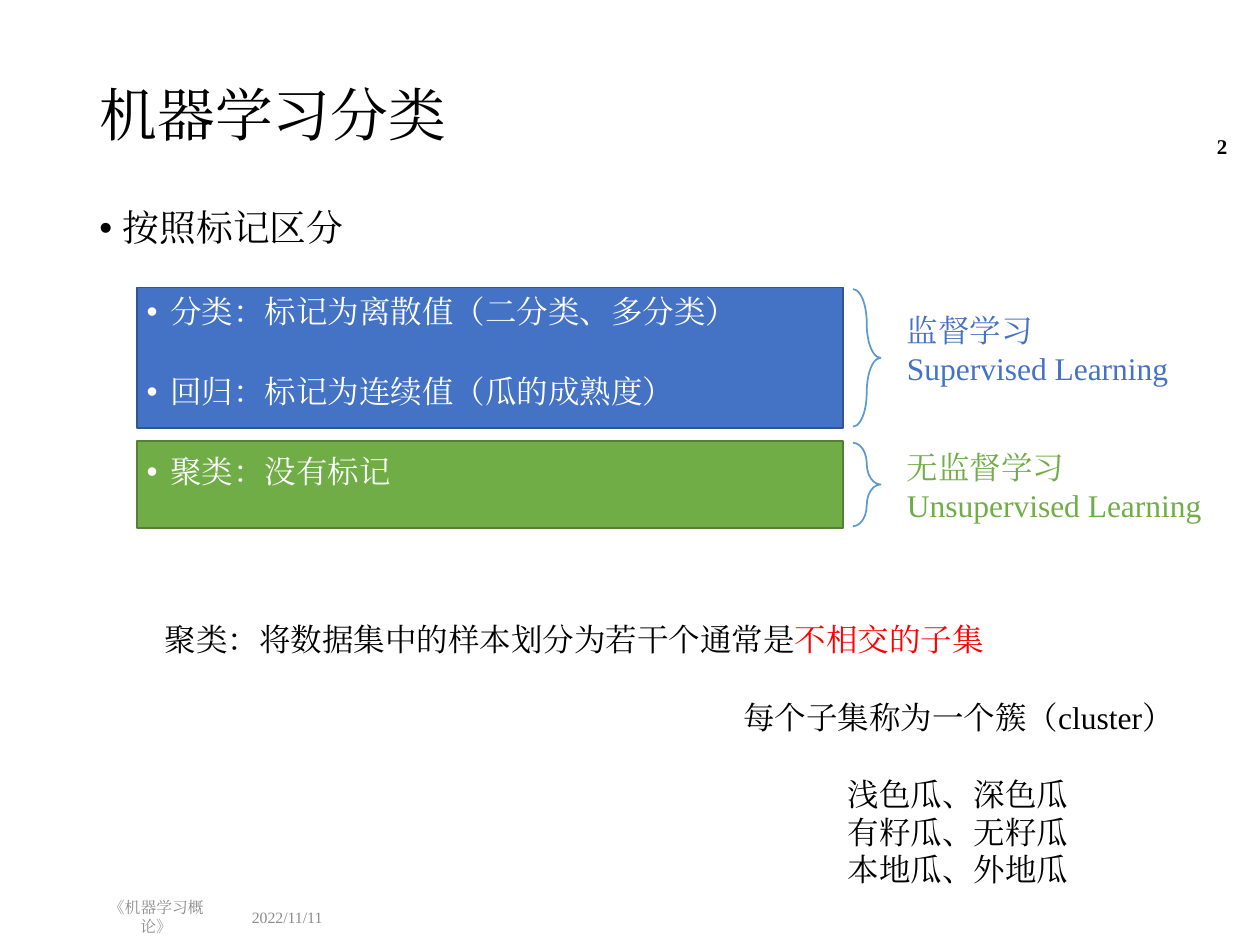
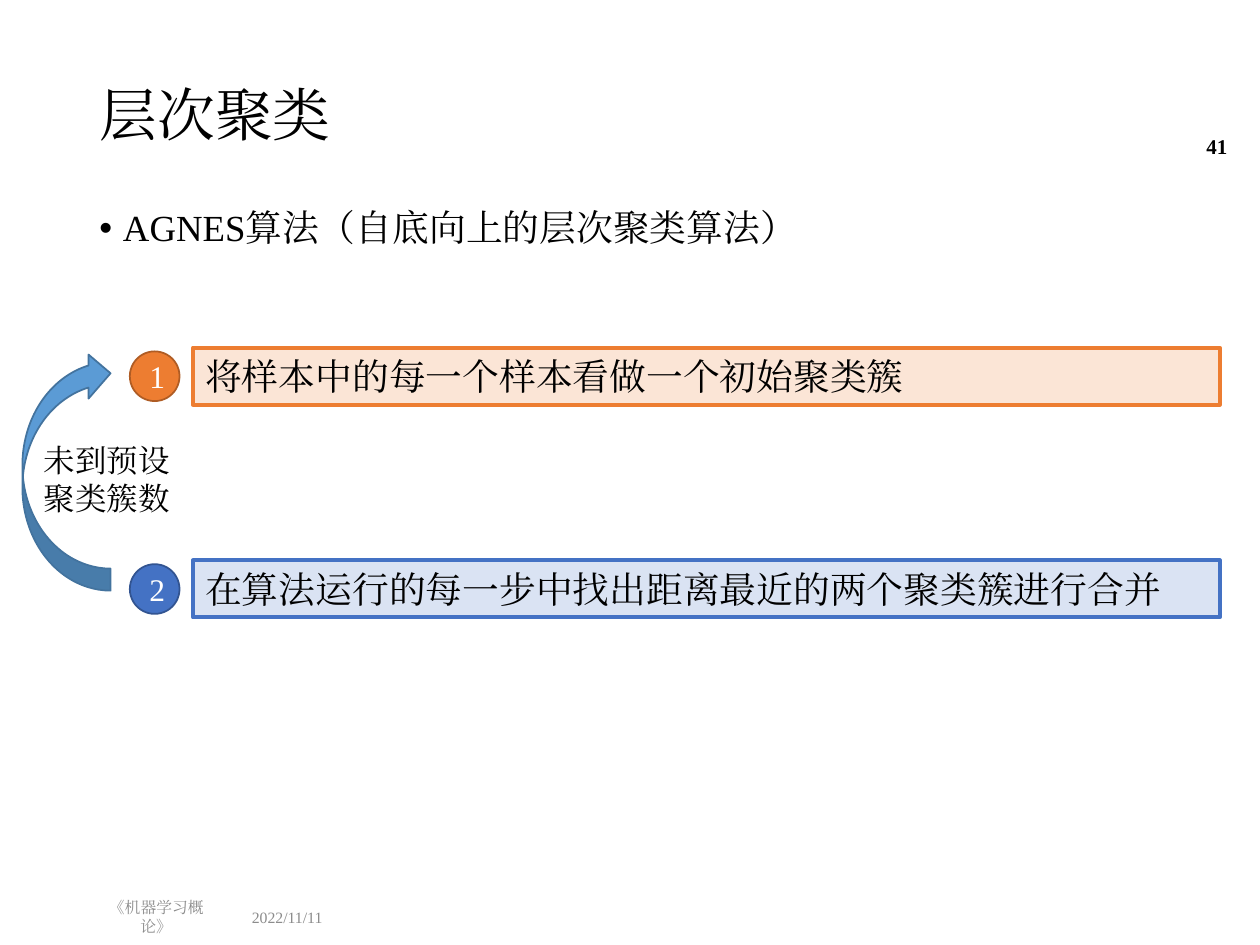
from dataclasses import dataclass
from lxml.etree import SubElement
from pptx import Presentation
from pptx.dml.color import RGBColor
from pptx.enum.shapes import MSO_SHAPE
from pptx.enum.text import MSO_ANCHOR, MSO_AUTO_SIZE, PP_ALIGN
from pptx.oxml.ns import qn
from pptx.util import Pt


@dataclass(frozen=True)
class Theme:
    font: str = "Times New Roman"
    black: str = "000000"
    white: str = "FFFFFF"
    grey: str = "8C8C8C"
    red: str = "FF0000"
    blue: str = "4472C4"
    blue_edge: str = "325491"
    blue_tint: str = "DAE3F3"
    green: str = "70AD47"
    green_edge: str = "538035"
    orange: str = "ED7D31"
    orange_edge: str = "AF5C24"
    orange_tint: str = "FBE5D6"
    sky: str = "5B9BD5"
    sky_edge: str = "43739E"
    title_size: float = 33
    heading_size: float = 21
    text_size: float = 18
    number_size: float = 12
    footer_size: float = 9


THEME = Theme()

TITLE_BOX = (49.7, 28.8, 620.6, 77)
BODY_BOX = (49.7, 116.6, 620.6, 388)
NUMBER_BOX = (658.8, 69.1, 49.7, 28.8)
FOOTERS = [
    ("《机器学习概论》", (49.7, 513.4, 79.2, 20.9), PP_ALIGN.CENTER),
    ("2022/11/11", (136.8, 513.4, 65.5, 20.9), PP_ALIGN.LEFT),
]

LEARNING_KINDS = [
    {
        "items": ["分类：标记为离散值（二分类、多分类）", "回归：标记为连续值（瓜的成熟度）"],
        "names": ["监督学习", "Supervised Learning"],
        "top": 164.2, "height": 80.6, "label_top": 174.2,
        "color": THEME.blue, "edge": THEME.blue_edge,
    },
    {
        "items": ["聚类：没有标记"],
        "names": ["无监督学习", "Unsupervised Learning"],
        "top": 252, "height": 49.7, "label_top": 252.7,
        "color": THEME.green, "edge": THEME.green_edge,
    },
]
CLUSTERING_NOTES = [
    ([[("聚类：将数据集中的样本划分为若干个通常是", THEME.black), ("不相交的子集", THEME.red)]],
     (87.1, 350.6, 508.3, 28.8)),
    ([[("每个子集称为一个簇（cluster）", THEME.black)]], (417.6, 395.3, 262.8, 28.8)),
    ([[(pair, THEME.black)] for pair in ("浅色瓜、深色瓜", "有籽瓜、无籽瓜", "本地瓜、外地瓜")],
     (477.4, 439.2, 181.4, 72.7)),
]

AGNES_STEPS = [
    ("将样本中的每一个样本看做一个初始聚类簇", THEME.orange, THEME.orange_edge, THEME.orange_tint),
    ("在算法运行的每一步中找出距离最近的两个聚类簇进行合并", THEME.blue, THEME.blue_edge, THEME.blue_tint),
]


def rgb(color):
    return RGBColor.from_string(color)


def box_of(values):
    return [Pt(value) for value in values]


def add_run(paragraph, text, size, color, bold=False):
    run = paragraph.add_run()
    run.text = text
    run.font.name = THEME.font
    run.font.size = Pt(size)
    run.font.bold = bold
    run.font.color.rgb = rgb(color)
    properties = run.font._element
    SubElement(properties, qn("a:ea")).set("typeface", THEME.font)


def fill_text(frame, lines, size, align=PP_ALIGN.LEFT, anchor=MSO_ANCHOR.TOP, bold=False):
    frame.word_wrap = True
    frame.auto_size = MSO_AUTO_SIZE.NONE
    frame.vertical_anchor = anchor
    for index, runs in enumerate(lines):
        paragraph = frame.add_paragraph() if index else frame.paragraphs[0]
        paragraph.alignment = align
        for text, color in runs:
            add_run(paragraph, text, size, color, bold)


def add_text(slide, box, lines, size=THEME.text_size, **options):
    shape = slide.shapes.add_textbox(*box_of(box))
    fill_text(shape.text_frame, lines, size, **options)


def add_box(slide, kind, box, fill, line, width=1):
    shape = slide.shapes.add_shape(kind, *box_of(box))
    shape.shadow.inherit = False
    if fill:
        shape.fill.solid()
        shape.fill.fore_color.rgb = rgb(fill)
    else:
        shape.fill.background()
    shape.line.color.rgb = rgb(line)
    shape.line.width = Pt(width)
    return shape


def add_bullets(slide, bullets):
    frame = slide.shapes.add_textbox(*box_of(BODY_BOX)).text_frame
    frame.word_wrap = True
    for index, (text, size, color, indent, space_before) in enumerate(bullets):
        paragraph = frame.add_paragraph() if index else frame.paragraphs[0]
        properties = paragraph._p.get_or_add_pPr()
        properties.set("marL", str(Pt(indent)))
        properties.set("indent", str(Pt(-13.5)))
        SubElement(properties, qn("a:buFont")).set("typeface", "Arial")
        SubElement(properties, qn("a:buChar")).set("char", "•")
        paragraph.line_spacing = 0.9
        paragraph.space_before = Pt(space_before)
        add_run(paragraph, text, size, color)


def add_heading_bullet(text):
    return (text, THEME.heading_size, THEME.black, 13.5, 0)


def start_slide(presentation, title, number):
    slide = presentation.slides.add_slide(presentation.slide_layouts[5])
    shape = slide.shapes.title
    shape.left, shape.top, shape.width, shape.height = box_of(TITLE_BOX)
    fill_text(shape.text_frame, [[(title, THEME.black)]], THEME.title_size, anchor=MSO_ANCHOR.MIDDLE)
    shape.text_frame.paragraphs[0].line_spacing = 0.9
    for text, box, align in FOOTERS:
        add_text(slide, box, [[(text, THEME.grey)]], THEME.footer_size,
                 align=align, anchor=MSO_ANCHOR.MIDDLE)
    add_text(slide, NUMBER_BOX, [[(number, THEME.black)]], THEME.number_size,
             align=PP_ALIGN.RIGHT, anchor=MSO_ANCHOR.MIDDLE, bold=True)
    return slide


def build_learning_kinds(presentation):
    slide = start_slide(presentation, "机器学习分类", "2")
    bullets = [add_heading_bullet("按照标记区分")]
    for kind in LEARNING_KINDS:
        top, height, color = kind["top"], kind["height"], kind["color"]
        add_box(slide, MSO_SHAPE.RECTANGLE, (78.5, top, 403.2, height), color, kind["edge"])
        brace = add_box(slide, MSO_SHAPE.RIGHT_BRACE, (487.4, top + 1, 15.8, height - 2), None, THEME.sky)
        brace.adjustments[0] = 1.24
        add_text(slide, (511.2, kind["label_top"], 188, 51.1), [[(name, color)] for name in kind["names"]])
        bullets += [(item, THEME.text_size, THEME.white, 40.5, 26.4) for item in kind["items"]]
    add_bullets(slide, bullets)
    for lines, box in CLUSTERING_NOTES:
        add_text(slide, box, lines)


def build_agnes(presentation):
    slide = start_slide(presentation, "层次聚类", "41")
    add_bullets(slide, [add_heading_bullet("AGNES算法（自底向上的层次聚类算法）")])
    bar_height, badge_size = 32.6, 28.4
    for index, (text, color, edge, tint) in enumerate(AGNES_STEPS):
        top = 198.7 + index * 121.6
        bar = add_box(slide, MSO_SHAPE.RECTANGLE, (110.2, top, 586.8, bar_height), tint, color, 2.25)
        fill_text(bar.text_frame, [[(text, THEME.black)]], THEME.heading_size)
        badge_top = top + (bar_height - badge_size) / 2
        badge = add_box(slide, MSO_SHAPE.OVAL, (74.2, badge_top, badge_size, badge_size), color, edge)
        fill_text(badge.text_frame, [[(str(index + 1), THEME.white)]], THEME.text_size,
                  align=PP_ALIGN.CENTER, anchor=MSO_ANCHOR.MIDDLE)
    add_text(slide, (18, 248.4, 90.7, 51.1), [[("未到预设聚类簇数", THEME.black)]])
    arrow = add_box(slide, MSO_SHAPE.CURVED_DOWN_ARROW, (-30.4, 243.9, 136.8, 50.4), THEME.sky, THEME.sky_edge)
    arrow.rotation = 270


def main():
    presentation = Presentation()
    presentation.slide_width = Pt(720)
    presentation.slide_height = Pt(540)
    build_learning_kinds(presentation)
    build_agnes(presentation)
    presentation.save("out.pptx")


if __name__ == "__main__":
    main()
